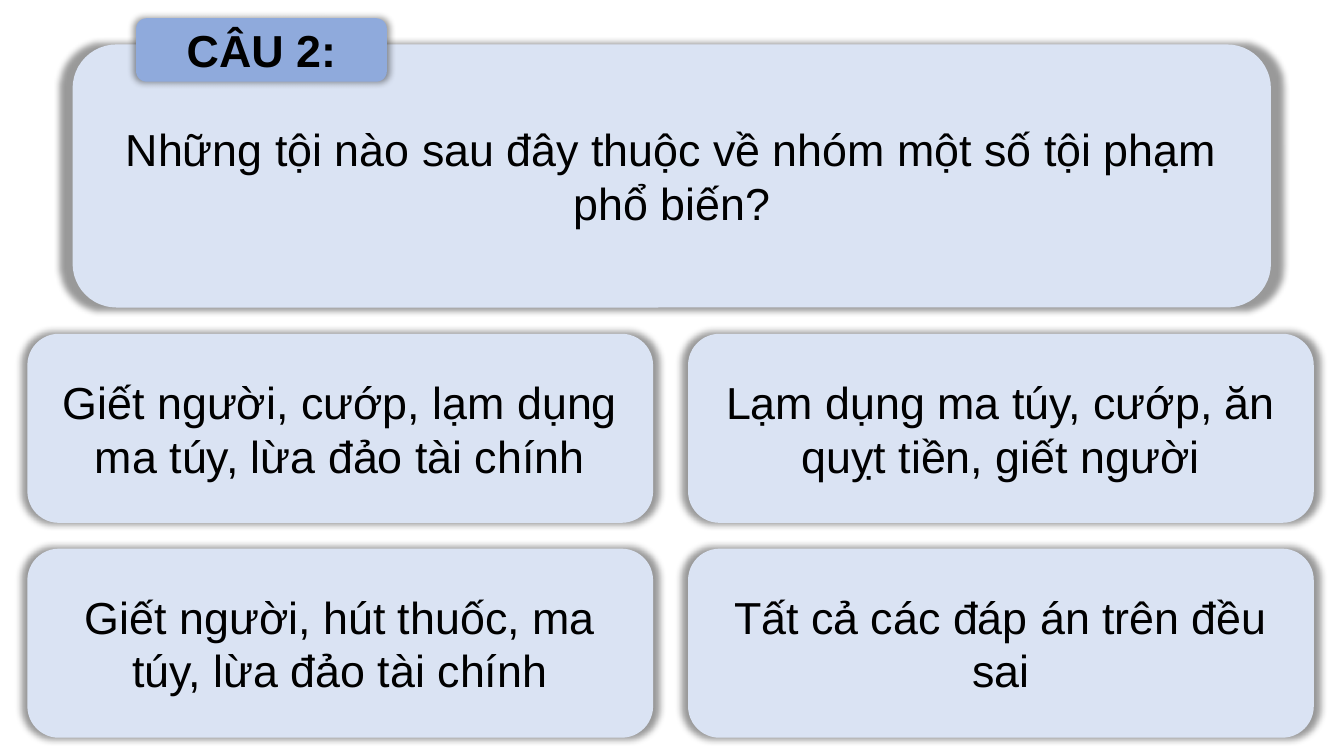
from itertools import product

from lxml import etree
from pptx import Presentation
from pptx.dml.color import RGBColor
from pptx.enum.shapes import MSO_SHAPE as SHAPE
from pptx.enum.text import MSO_ANCHOR as ANCHOR, PP_ALIGN as ALIGN
from pptx.oxml import parse_xml
from pptx.oxml.ns import nsdecls, qn
from pptx.util import Cm, Pt

COLORS = {"panel": "DAE3F3", "tag": "8FAADC", "text": "000000", "shadow": "000000"}
ANSWERS = [
    "Giết người, cướp, lạm dụng ma túy, lừa đảo tài chính",
    "Lạm dụng ma túy, cướp, ăn quỵt tiền, giết người",
    "Giết người, hút thuốc, ma túy, lừa đảo tài chính",
    "Tất cả các đáp án trên đều sai",
]


def add_glow_shadow(sp):
    sp.shadow.inherit = False
    effects = sp._element.spPr.find(qn("a:effectLst"))
    effects.append(parse_xml(
        f'<a:outerShdw {nsdecls("a")} blurRad="{Pt(5)}" sx="102000" sy="102000" '
        f'algn="ctr" rotWithShape="0"><a:srgbClr val="{COLORS["shadow"]}">'
        '<a:alpha val="40000"/></a:srgbClr></a:outerShdw>'))


def add_card(slide, box, text, fill="panel", bold=False):
    sp = slide.shapes.add_shape(SHAPE.ROUNDED_RECTANGLE, *map(Cm, box))
    sp.fill.solid()
    sp.fill.fore_color.rgb = RGBColor.from_string(COLORS[fill])
    sp.line.fill.background()
    add_glow_shadow(sp)
    tf = sp.text_frame
    tf.word_wrap = True
    tf.vertical_anchor = ANCHOR.MIDDLE
    p = tf.paragraphs[0]
    p.text = text
    p.alignment = ALIGN.CENTER
    p.font.name = "Arial"
    p.font.size = Pt(32)
    p.font.bold = bold
    p.font.color.rgb = RGBColor.from_string(COLORS["text"])


def add_question(slide, box, number, text):
    left, top, width, height = box
    add_card(slide, box, text)
    add_card(slide, (left + 1.6, top - 0.66, 6.32, 1.6), number, "tag", True)


def add_answers(slide, box, answers, gap_x=0.88, gap_y=0.65):
    left, top, width, height = box
    w, h = (width - gap_x) / 2, (height - gap_y) / 2
    for (row, col), text in zip(product(range(2), repeat=2), answers):
        add_card(slide, (left + col * (w + gap_x), top + row * (h + gap_y), w, h), text)


def main():
    prs = Presentation()
    prs.slide_width, prs.slide_height = Cm(33.87), Cm(19.05)
    slide = prs.slides.add_slide(prs.slide_layouts[6])
    add_question(slide, (1.83, 1.12, 30.2, 6.63), "CÂU 2:",
                 "Những tội nào sau đây thuộc về nhóm một số tội phạm phổ biến?")
    add_answers(slide, (0.69, 8.41, 32.42, 10.18), ANSWERS)
    prs.save("out.pptx")


if __name__ == "__main__":
    main()
